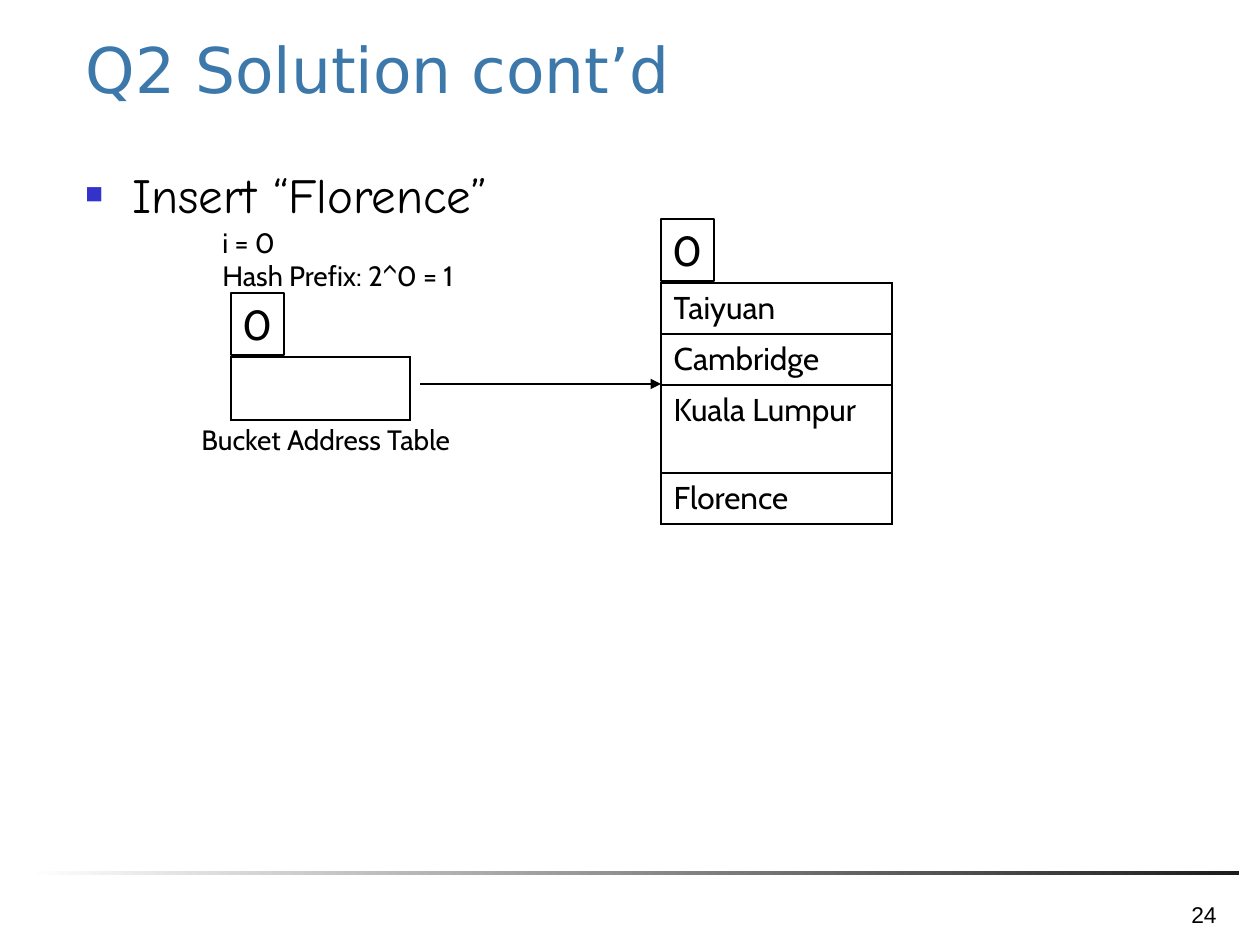
from lxml import etree
from pptx import Presentation
from pptx.dml.color import RGBColor
from pptx.enum.shapes import MSO_CONNECTOR, MSO_SHAPE
from pptx.enum.text import MSO_ANCHOR, PP_ALIGN
from pptx.oxml.ns import qn
from pptx.util import Pt

PX = 914400 / 126
LEFT, CENTER, RIGHT = PP_ALIGN.LEFT, PP_ALIGN.CENTER, PP_ALIGN.RIGHT
MIDDLE, BOTTOM = MSO_ANCHOR.MIDDLE, MSO_ANCHOR.BOTTOM
RECT, STRAIGHT = MSO_SHAPE.RECTANGLE, MSO_CONNECTOR.STRAIGHT
COLORS = {"title": "3C78AA", "bullet": "3333CC", "ink": "000000",
          "bar_start": "FFFFFF", "bar_end": "1C1C1C"}
NO_STYLE = "{2D5ABB26-0587-4C30-8999-92F81FD0307C}"


def px(*values):
    return [round(v * PX) for v in values]


def write(tf, text, font, size, color="ink", align=LEFT):
    tf.text = text
    for p in tf.paragraphs:
        p.alignment = align
        for r in p.runs:
            r.font.name, r.font.size = font, Pt(size)
            r.font.color.rgb = RGBColor.from_string(COLORS[color])


prs = Presentation()
prs.slide_width, prs.slide_height = px(1260, 945)
s = prs.slides.add_slide(prs.slide_layouts[5])

# Footer bar
bar = s.shapes.add_shape(RECT, *px(26, 871, 1213, 4))
bar.shadow.inherit = False
bar.line.fill.background()
bar.fill.gradient()
bar.fill.gradient_angle = 0
for stop, name, position in zip(bar.fill.gradient_stops, ("bar_start", "bar_end"), (0, 1)):
    stop.color.rgb = RGBColor.from_string(COLORS[name])
    stop.position = position

# Title
title = s.shapes.title
title.left, title.top, title.width, title.height = px(73, 10, 1074, 117)
title.text_frame.vertical_anchor = MIDDLE
write(title.text_frame, "Q2 Solution cont’d", "DejaVu Sans", 36, "title")

# Text boxes
boxes = [
    ("Insert “Florence”", "Comic Neue", 28, LEFT, (73, 158, 1139, 158)),
    ("24", "Arial", 13, RIGHT, (1166, 892, 63, 42)),
    ("Bucket Address Table", "Cabin", 16, LEFT, (189, 416, 294, 81)),
    ("i = 0\nHash Prefix: 2^0 = 1", "Cabin", 16, LEFT, (210, 219, 315, 81)),
]
frames = []
for text, font, size, align, box in boxes:
    tf = s.shapes.add_textbox(*px(*box)).text_frame
    tf.word_wrap = True
    write(tf, text, font, size, align=align)
    frames.append(tf)
frames[1].vertical_anchor = BOTTOM

pPr = frames[0].paragraphs[0]._p.get_or_add_pPr()
indent, = px(47)
pPr.set("marL", str(indent))
pPr.set("indent", str(-indent))
bullet_color = etree.SubElement(pPr, qn("a:buClr"))
etree.SubElement(bullet_color, qn("a:srgbClr"), val=COLORS["bullet"])
etree.SubElement(pPr, qn("a:buSzPct"), val="60000")
etree.SubElement(pPr, qn("a:buFont"), typeface="Arial")
etree.SubElement(pPr, qn("a:buChar"), char="■")

# Bucket and bucket address table
tables = [
    ((661, 283, 231), [("Taiyuan", 51), ("Cambridge", 51), ("Kuala Lumpur", 88), ("Florence", 51)]),
    ((231, 357, 179), [("", 63)]),
]
for (x, y, width), rows in tables:
    height = sum(h for _, h in rows)
    frame = s.shapes.add_table(len(rows), 1, *px(x, y, width, height))
    table = frame.table
    table.first_row = table.horz_banding = False
    table._tbl.tblPr.find(qn("a:tableStyleId")).text = NO_STYLE
    for i, (text, row_height) in enumerate(rows):
        table.rows[i].height, = px(row_height)
        cell = table.cell(i, 0)
        write(cell.text_frame, text, "Cabin", 18)
        tcPr = cell._tc.get_or_add_tcPr()
        for side in ("a:lnL", "a:lnR", "a:lnT", "a:lnB"):
            ln = etree.SubElement(tcPr, qn(side), w=str(Pt(0.75)))
            fill = etree.SubElement(ln, qn("a:solidFill"))
            etree.SubElement(fill, qn("a:srgbClr"), val=COLORS["ink"])
        cell.fill.background()

# Depth markers above each table
for x, y in ((231, 293), (661, 219)):
    sp = s.shapes.add_shape(RECT, *px(x, y, 53, 62))
    sp.shadow.inherit = False
    sp.fill.background()
    sp.line.color.rgb = RGBColor.from_string(COLORS["ink"])
    sp.line.width = Pt(0.75)
    sp.text_frame.word_wrap = False
    write(sp.text_frame, "0", "Cabin", 24, align=CENTER)

# Pointer from the address table to the bucket
arrow = s.shapes.add_connector(STRAIGHT, *px(420, 384, 661, 384))
arrow.line.color.rgb = RGBColor.from_string(COLORS["ink"])
arrow.line.width = Pt(0.75)
etree.SubElement(arrow.line._get_or_add_ln(), qn("a:tailEnd"), type="triangle")
etree.SubElement(arrow._element.spPr, qn("a:effectLst"))

prs.save("out.pptx")
